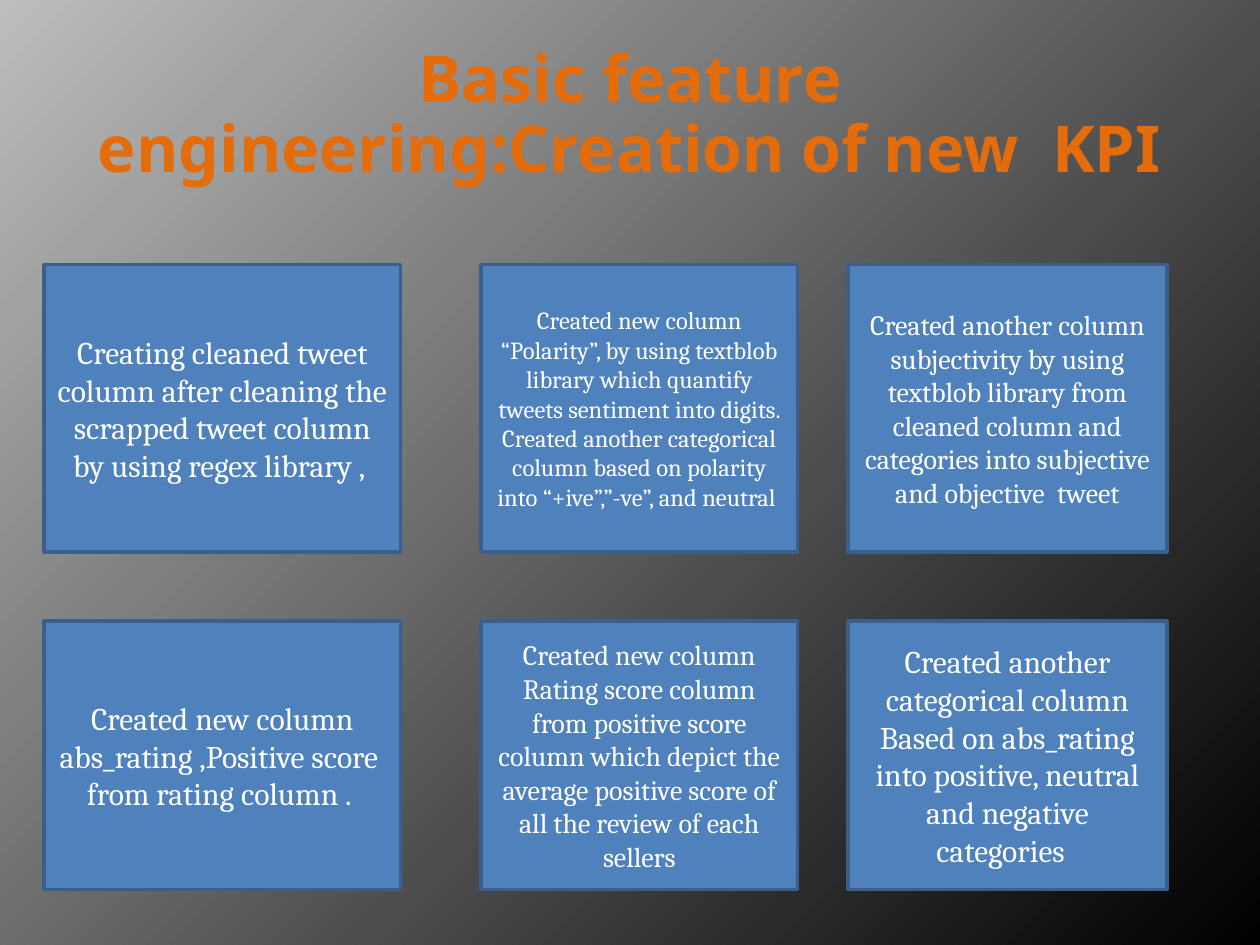
from lxml import etree
from pptx import Presentation
from pptx.dml.color import RGBColor
from pptx.enum.shapes import MSO_SHAPE
from pptx.enum.text import MSO_ANCHOR, PP_ALIGN
from pptx.oxml.ns import qn
from pptx.util import Pt

RECTANGLE = MSO_SHAPE.RECTANGLE
MIDDLE = MSO_ANCHOR.MIDDLE
CENTER = PP_ALIGN.CENTER

TITLE = "Basic feature engineering:Creation of new  KPI"

# Grid: (left, width) of each column, (top, height) of each row
COLUMNS = [(25.2, 203.8), (275, 180.7), (484.6, 182.2)]
ROWS = [(151.2, 164.2), (355, 153.4)]

# Card text and size, row by row
CARDS = [
    [
        ("Creating cleaned tweet column after cleaning the scrapped tweet "
         "column by using regex library , ", 18),
        ("Created new column “Polarity”, by using textblob library which "
         "quantify tweets sentiment into digits. Created another categorical "
         "column based on polarity into “+ive”,”-ve”, and neutral ", 14),
        ("Created another column subjectivity by using textblob library from "
         "cleaned column and categories into subjective and objective  tweet", 16),
    ],
    [
        ("Created new column abs_rating ,Positive score  from rating column . ", 18),
        ("Created new column Rating score column from positive score column "
         "which depict the average positive score of all the review of each "
         "sellers", 16),
        ("Created another categorical column\n"
         "Based on abs_rating into positive, neutral and negative categories  ", 18),
    ],
]


def rgb(value):
    return RGBColor.from_string(value)


def set_background(slide, inner, outer):
    """Radial gradient that spreads from the top left corner."""
    fill = slide.background.fill
    fill.gradient()
    for stop, position, color in zip(fill.gradient_stops, (0, 1), (inner, outer)):
        stop.position = position
        stop.color.rgb = rgb(color)
    grad = slide.element.find(".//" + qn("a:gradFill"))
    grad.remove(grad.find(qn("a:lin")))
    radial = etree.SubElement(grad, qn("a:path"), path="circle")
    etree.SubElement(radial, qn("a:fillToRect"), r="100000", b="100000")


def set_text(sp, text, font, size, color, bold=False):
    tf = sp.text_frame
    tf.word_wrap = True
    tf.vertical_anchor = MIDDLE
    tf.text = text
    for p in tf.paragraphs:
        p.alignment = CENTER
        for r in p.runs:
            r.font.name = font
            r.font.size = Pt(size)
            r.font.bold = bold
            r.font.color.rgb = rgb(color)


def add_title(slide, text):
    sp = slide.shapes.add_textbox(Pt(36), Pt(21.6), Pt(648), Pt(90))
    set_text(sp, text, "Noto Sans", 36.9, "E46C0A", bold=True)
    sp.text_frame.paragraphs[0].line_spacing = 0.9


def add_card(slide, left, top, width, height, text, size):
    sp = slide.shapes.add_shape(RECTANGLE, Pt(left), Pt(top), Pt(width), Pt(height))
    sp.shadow.inherit = False
    sp.fill.solid()
    sp.fill.fore_color.rgb = rgb("4F81BD")
    sp.line.color.rgb = rgb("3A5F8C")
    sp.line.width = Pt(2)
    set_text(sp, text, "Cambria", size, "FFFFFF")


def main():
    prs = Presentation()
    prs.slide_width, prs.slide_height = Pt(720), Pt(540)
    slide = prs.slides.add_slide(prs.slide_layouts[6])

    set_background(slide, "BDBDBD", "000000")
    add_title(slide, TITLE)

    # Two rows of three cards
    for (top, height), cards in zip(ROWS, CARDS):
        for (left, width), (text, size) in zip(COLUMNS, cards):
            add_card(slide, left, top, width, height, text, size)

    prs.save("out.pptx")


if __name__ == "__main__":
    main()
